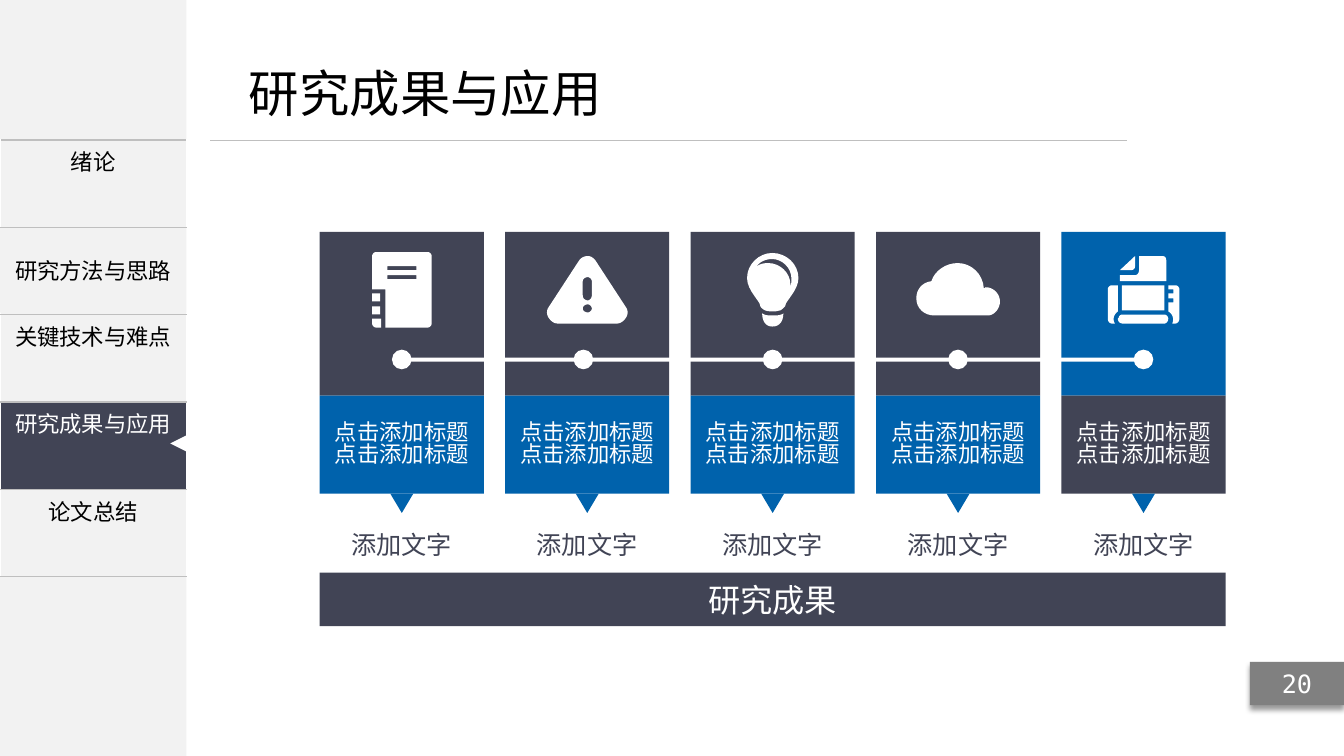
from dataclasses import dataclass

import pptx
import pptx.dml.color
import pptx.enum.shapes
import pptx.enum.text
import pptx.oxml
import pptx.oxml.ns
import pptx.util
from lxml import etree

Pt = pptx.util.Pt
SHAPE = pptx.enum.shapes.MSO_SHAPE
ALIGN = pptx.enum.text.PP_ALIGN
ANCHOR = pptx.enum.text.MSO_ANCHOR
qn = pptx.oxml.ns.qn

SLATE, BLUE, WHITE, BLACK = "414455", "0062AC", "FFFFFF", "000000"
PALE, RULE, GRAY = "F2F2F2", "BFBFBF", "808080"
CJK, MONO = "Noto Sans CJK SC", "DejaVu Sans Mono"
SIDEBAR_WIDTH, MENU_TOP, MENU_ROW = 133.2, 100, 62.4
CARD_LEFT, CARD_TOP, CARD_WIDTH, CARD_PITCH = 228.4, 165.6, 117.2, 132.45
HEAD_HEIGHT, LABEL_HEIGHT, DOT = 117, 70, 14
LABEL_TOP = CARD_TOP + HEAD_HEIGHT
POINTER_TOP = LABEL_TOP + LABEL_HEIGHT
ICON_UNIT = 0.72
CURVE_STEPS = 8


@dataclass(frozen=True)
class Card:
    outlines: tuple[str, ...]
    blocks: tuple[tuple[float, float, float, float], ...] = ()
    head: str = SLATE
    label: str = BLUE
    dot_shift: float = 0


NOTEBOOK = Card(
    (
        "M 61 95 L 56 95 C 54 95 52 93 52 91 L 52 86 L 61 86",
        "M 56 20 L 107 20 C 109 20 111 22 111 24 L 111 91 C 111 93 109 95 107 95 L 65 95 L 65 57 "
        "L 52 57 L 52 24 C 52 22 54 20 56 20 M 67 47 L 96 47 L 96 43 L 67 43 "
        "M 67 38 L 96 38 L 96 34 L 67 34",
    ),
    blocks=((52, 61, 8, 8), (52, 74, 8, 8)),
)
WARNING = Card(
    (
        "M 73 29 C 75 26 78 24 82 24 C 85 24 88 26 90 29 L 120 75 C 122 78 122 82 120 85 "
        "C 118 88 115 91 111 91 L 52 91 C 48 91 45 88 43 85 C 41 82 41 78 43 75 "
        "M 82 80 C 84 80 86 78 86 76 C 86 74 84 72 82 72 C 79 72 77 74 77 76 C 77 78 79 80 82 80 "
        "M 77 63 C 77 66 79 68 82 68 C 84 68 86 66 86 63 L 86 49 C 86 47 84 45 82 45 "
        "C 79 45 77 47 77 49",
    ),
    dot_shift=-2.7,
)
BULB = Card(
    (
        "M 73 82 C 75 83 78 83 80 83 L 83 83 C 85 83 88 83 90 82 C 91 82 92 81 92 81 "
        "C 92 88 89 94 81 94 C 74 94 71 88 71 81",
        "M 81 21 C 95 21 107 32 107 46 C 107 58 94 69 94 73 C 94 74 92 76 89 78 C 88 78 85 79 83 79 "
        "L 80 79 C 80 79 77 79 74 78 C 70 76 69 74 69 73 C 69 69 56 58 56 46 C 56 32 68 21 81 21 "
        "M 77 31 C 89 31 99 41 99 52 L 99 54 C 100 52 100 49 100 46 C 100 36 91 27 81 27 "
        "C 74 27 68 30 65 35 C 68 32 72 31 77 31",
    ),
)
CLOUD = Card(
    (
        "M 55 49 C 58 39 69 31 81 31 C 95 31 106 42 107 56 C 108 56 108 55 109 55 "
        "C 117 55 123 62 123 69 C 123 76 118 82 112 83 L 58 83 C 48 83 40 76 40 66 C 40 57 46 50 55 49",
    ),
)
PRINTER = Card(
    (
        "M 50 53 L 56 53 L 56 79 C 53 81 50 86 53 91 L 50 91 C 48 91 46 89 46 86 L 46 57 "
        "C 46 55 48 53 50 53",
        "M 57 85 C 57 83 59 82 61 82 L 102 82 C 104 82 106 84 106 86 C 106 89 104 91 102 91 "
        "L 61 91 C 58 91 56 89 56 86",
        "M 106 78 L 106 70 L 111 70 L 111 66 L 106 66 L 106 61 L 111 61 L 111 57 L 106 57 L 106 53 "
        "L 113 53 C 115 53 117 55 117 57 L 117 86 C 117 89 115 91 113 91 L 110 91 "
        "C 112 86 110 81 106 79",
        "M 69 38 L 58 38 L 73 24 L 73 34 C 73 37 71 38 69 38",
        "M 58 43 L 73 43 C 75 43 77 41 77 38 L 77 24 L 100 24 C 103 24 104 26 104 28 "
        "L 104 49 L 58 49",
    ),
    blocks=((60, 53, 42, 25),),
    head=BLUE,
    label=SLATE,
)
CARDS = (NOTEBOOK, WARNING, BULB, CLOUD, PRINTER)


def rgb(color: str) -> pptx.dml.color.RGBColor:
    return pptx.dml.color.RGBColor.from_string(color)


def paint(shape, fill: str) -> None:
    shape.fill.solid()
    shape.fill.fore_color.rgb = rgb(fill)
    shape.line.fill.background()
    shape.shadow.inherit = False


def add_block(left: float, top: float, width: float, height: float, fill: str, kind=SHAPE.RECTANGLE, turn: float = 0):
    block = slide.shapes.add_shape(kind, Pt(left), Pt(top), Pt(width), Pt(height))
    paint(block, fill)
    block.rotation = turn
    return block


def write(frame, text: str, *, size: float = 16, color: str = BLACK, font: str = CJK, align=ALIGN.CENTER,
          inset: float = 3.6, wrap: bool = True, anchor=ANCHOR.MIDDLE, spacing: float | None = None) -> None:
    frame.word_wrap = wrap
    frame.vertical_anchor = anchor
    frame.margin_left = frame.margin_right = frame.margin_top = frame.margin_bottom = Pt(inset)
    for index, words in enumerate(text.split("\n")):
        paragraph = frame.paragraphs[0] if index == 0 else frame.add_paragraph()
        paragraph.alignment = align
        paragraph.line_spacing = spacing
        run = paragraph.add_run()
        run.text = words
        run.font.size = Pt(size)
        run.font.color.rgb = rgb(color)
        run.font.name = font
        etree.SubElement(run.font._element, qn("a:ea"), typeface=font)


def add_text(left: float, top: float, width: float, height: float, text: str, **style) -> None:
    box = slide.shapes.add_textbox(Pt(left), Pt(top), Pt(width), Pt(height))
    write(box.text_frame, text, anchor=ANCHOR.TOP, wrap=False, **style)


def contour_points(contour: str) -> list[tuple[float, float]]:
    points: list[tuple[float, float]] = []
    for segment in contour.replace("L", "|L").replace("C", "|C").split("|"):
        numbers = [float(n) for n in segment.strip("LC ").split()]
        if len(numbers) == 2:
            points.append((numbers[0], numbers[1]))
            continue
        corners = [points[-1], *zip(numbers[::2], numbers[1::2])]
        for step in range(1, CURVE_STEPS + 1):
            t = step / CURVE_STEPS
            weights = ((1 - t) ** 3, 3 * t * (1 - t) ** 2, 3 * t * t * (1 - t), t ** 3)
            points.append((sum(w * x for w, (x, _) in zip(weights, corners)),
                           sum(w * y for w, (_, y) in zip(weights, corners))))
    return points


def add_outline(left: float, top: float, outline: str) -> None:
    contours = [[(Pt(left + x * ICON_UNIT), Pt(top + y * ICON_UNIT)) for x, y in contour_points(c)]
                for c in outline.split("M")[1:]]
    builder = slide.shapes.build_freeform(*contours[0][0])
    for index, points in enumerate(contours):
        if index:
            builder.move_to(*points[0])
        builder.add_line_segments(points[1:], close=True)
    paint(builder.convert_to_shape(), WHITE)


def add_menu(entries: tuple[str, ...], active: str) -> None:
    menu = slide.shapes.add_table(len(entries), 1, 0, Pt(MENU_TOP), Pt(SIDEBAR_WIDTH),
                                  Pt(MENU_ROW * len(entries))).table
    menu.first_row = menu.horz_banding = False
    for row, entry in enumerate(entries):
        menu.rows[row].height = Pt(MENU_ROW)
        cell = menu.cell(row, 0)
        properties = cell._tc.get_or_add_tcPr()
        for edge in ("a:lnT", "a:lnB"):
            border = etree.SubElement(properties, qn(edge), w=str(Pt(1)))
            etree.SubElement(etree.SubElement(border, qn("a:solidFill")), qn("a:srgbClr"), val=RULE)
        cell.fill.solid()
        cell.fill.fore_color.rgb = rgb(SLATE if entry == active else PALE)
        if entry:
            write(cell.text_frame, entry, color=WHITE if entry == active else BLACK)


def add_card(index: int, card: Card) -> None:
    left = CARD_LEFT + index * CARD_PITCH
    middle = left + CARD_WIDTH / 2
    add_block(left, CARD_TOP, CARD_WIDTH, HEAD_HEIGHT, card.head)
    label = add_block(left, LABEL_TOP, CARD_WIDTH, LABEL_HEIGHT, card.label)
    write(label.text_frame, "点击添加标题\n点击添加标题", color=WHITE, inset=2.88, spacing=0.83)
    for outline in card.outlines:
        add_outline(left, CARD_TOP, outline)
    for x, y, width, height in card.blocks:
        add_block(left + x * ICON_UNIT, CARD_TOP + y * ICON_UNIT, width * ICON_UNIT, height * ICON_UNIT, WHITE)
    add_block(middle - DOT / 2 + card.dot_shift, 249.8, DOT, DOT, WHITE, SHAPE.OVAL)
    add_block(middle - 8.2, POINTER_TOP, 16.4, 13.8, BLUE, SHAPE.ISOSCELES_TRIANGLE, 180)
    add_text(middle - 39.6, 375.1, 79.2, 31, "添加文字", size=18, color=SLATE, inset=2.88)


presentation = pptx.Presentation()
presentation.slide_width, presentation.slide_height = Pt(960), Pt(540)
slide = presentation.slides.add_slide(presentation.slide_layouts[6])

add_block(0, 0, SIDEBAR_WIDTH, 540, PALE)
add_menu(("绪论", "", "关键技术与难点", "研究成果与应用", "论文总结"), "研究成果与应用")
methods = add_block(0, 162.9, SIDEBAR_WIDTH, 60.5, PALE)
write(methods.text_frame, "研究方法与思路")
add_block(121.7, 311, 11.5, 11.5, WHITE, SHAPE.ISOSCELES_TRIANGLE, 270)

title_rule = slide.shapes.add_connector(pptx.enum.shapes.MSO_CONNECTOR.STRAIGHT, Pt(150.2), Pt(100), Pt(805), Pt(100))
title_rule.line.color.rgb = rgb(RULE)
title_rule.line.width = Pt(0.5)
etree.SubElement(title_rule._element.spPr, qn("a:effectLst"))
add_text(174.2, 41, 260, 56.9, "研究成果与应用", size=36, align=ALIGN.LEFT)

page_number = add_block(892.8, 472.8, 67.2, 31, GRAY)
write(page_number.text_frame, "20", size=18, color=WHITE, font=MONO)
glow = etree.SubElement(page_number._element.spPr.find(qn("a:effectLst")), qn("a:outerShdw"),
                        blurRad=str(Pt(4)), dist=str(Pt(3)), dir="5400000", rotWithShape="0")
shade = etree.SubElement(glow, qn("a:srgbClr"), val=BLACK)
etree.SubElement(shade, qn("a:alpha"), val="40000")

for position, card in enumerate(CARDS):
    add_card(position, card)
add_block(283, 255.4, 530, 3, WHITE)
summary = add_block(CARD_LEFT, 409, CARD_PITCH * 4 + CARD_WIDTH, 38.2, SLATE)
write(summary.text_frame, "研究成果", size=23, color=WHITE, inset=2.88)

presentation.save("out.pptx")
